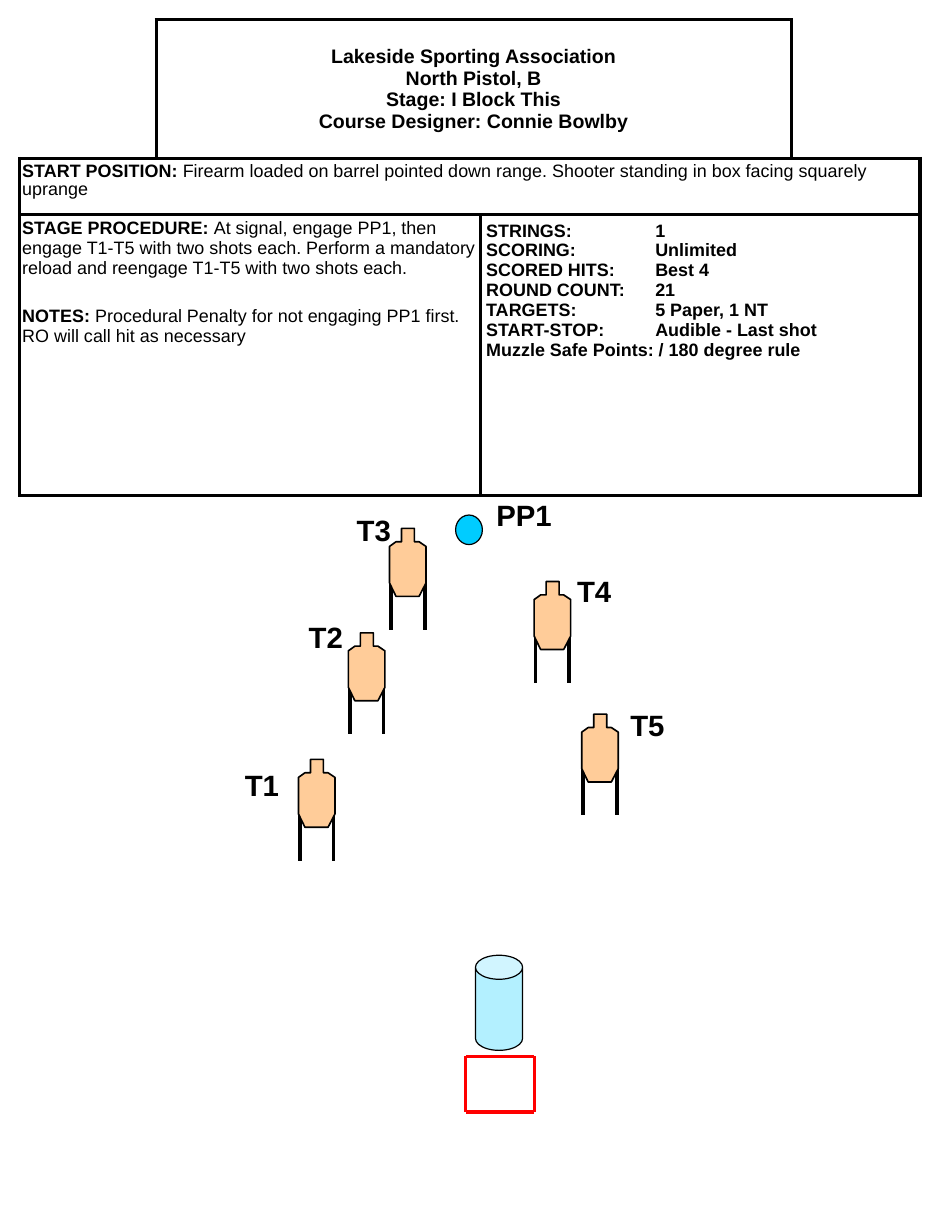
import pptx
import pptx.dml.color
import pptx.enum.shapes
import pptx.enum.text
import pptx.oxml
import pptx.oxml.ns
import pptx.util
from pptx.util import Cm

BLACK, WHITE, RED = "000000", "FFFFFF", "FF0000"
SIDES = {"left": "lnL", "right": "lnR", "top": "lnT", "bottom": "lnB"}
TARGET_OUTLINE = [
    (0.26, 0), (0.54, 0), (0.54, 0.29), (0.64, 0.29), (0.79, 0.39), (0.79, 1.18),
    (0.64, 1.47), (0.14, 1.47), (0, 1.18), (0, 0.39), (0.14, 0.29), (0.26, 0.29),
]
LEG_POSITIONS, LEG_TOP, LEG_BOTTOM = (0.03, 0.76), 1.08, 2.19

COLUMN_WIDTHS = (2.95, 7.01, 6.73, 2.79)
ROW_HEIGHTS = (3, 1.22, 6.07)
VALUE_TAB = 3.66

HEADER = [
    "Lakeside Sporting Association",
    "North Pistol, B",
    "Stage: I Block This",
    "Course Designer: Connie Bowlby",
]
START = ("START POSITION: ", "Firearm loaded on barrel pointed down range. "
         "Shooter standing in box facing squarely uprange")
PROCEDURE = ("STAGE PROCEDURE: ", "At signal, engage PP1, then engage T1-T5 with two shots "
             "each. Perform a mandatory reload and reengage T1-T5 with two shots each.")
NOTES = ("NOTES: ", "Procedural Penalty for not engaging PP1 first. "
         "RO will call hit as necessary")
SCORING = [
    "STRINGS:\t1",
    "SCORING:\tUnlimited",
    "SCORED HITS:\tBest 4",
    "ROUND COUNT:\t21",
    "TARGETS:\t5 Paper, 1 NT",
    "START-STOP:\tAudible - Last shot",
    "Muzzle Safe Points: / 180 degree rule",
]

LABELS = [
    ("T1", 5.05, 16.48, 1.47), ("PP1", 10.49, 10.64, 1.85), ("T2", 6.43, 13.28, 1.47),
    ("T3", 7.47, 10.97, 1.47), ("T4", 12.24, 12.29, 1.47), ("T5", 13.39, 15.19, 1.47),
]
TARGETS = [(8.43, 11.44), (11.56, 12.59), (7.54, 13.7), (12.59, 15.46), (6.46, 16.44)]


def rgb(color):
    return pptx.dml.color.RGBColor.from_string(color)


def apply(target, formats):
    for name, value in formats.items():
        setattr(target, name, value)


class StageSlide:
    def __init__(self, slide, font="Arial"):
        self.slide = slide
        self.shapes = slide.shapes
        self.font = font

    def add_text(self, paragraph, runs, size, tab=None, **formats):
        """Fill a paragraph with (text, bold) runs."""
        apply(paragraph, formats)
        if tab:
            tabs = pptx.oxml.parse_xml(
                f'<a:tabLst {pptx.oxml.ns.nsdecls("a")}><a:tab pos="{Cm(tab)}" algn="l"/></a:tabLst>')
            paragraph._p.get_or_add_pPr().append(tabs)
        for text, bold in runs:
            run = paragraph.add_run()
            run.text = text
            apply(run.font, {"name": self.font, "size": pptx.util.Pt(size), "bold": bold})
            run.font.color.rgb = rgb(BLACK)

    def label(self, text, left, top, width):
        box = self.shapes.add_textbox(Cm(left), Cm(top), Cm(width), Cm(1.02))
        apply(box.text_frame, {"word_wrap": True,
                               "auto_size": pptx.enum.text.MSO_AUTO_SIZE.SHAPE_TO_FIT_TEXT})
        self.add_text(box.text_frame.paragraphs[0], [(text, True)], 18)

    def paint(self, shape, fill, width, color=BLACK):
        shape.shadow.inherit = False
        shape.fill.solid()
        shape.fill.fore_color.rgb = rgb(fill)
        shape.line.color.rgb = rgb(color)
        shape.line.width = pptx.util.Pt(width)

    def line(self, shapes, start, end, color, width):
        connector = shapes.add_connector(
            pptx.enum.shapes.MSO_CONNECTOR.STRAIGHT, *map(Cm, (*start, *end)))
        connector.line.color.rgb = rgb(color)
        connector.line.width = pptx.util.Pt(width)
        connector._element.spPr.append(
            pptx.oxml.parse_xml(f'<a:effectLst {pptx.oxml.ns.nsdecls("a")}/>'))

    def shape(self, kind, left, top, width, height, fill):
        shape = self.shapes.add_shape(kind, Cm(left), Cm(top), Cm(width), Cm(height))
        self.paint(shape, fill, 0.75)
        return shape

    def shooting_box(self, left, top, right, bottom):
        group = self.shapes.add_group_shape()
        corners = [(left, top), (right, top), (right, bottom), (left, bottom)]
        for start, end in zip(corners, corners[1:] + corners[:1]):
            self.line(group.shapes, start, end, RED, 2)

    def target(self, left, top):
        """Draw a silhouette on two legs."""
        group = self.shapes.add_group_shape()
        for leg in LEG_POSITIONS:
            self.line(group.shapes, (left + leg, top + LEG_TOP),
                      (left + leg, top + LEG_BOTTOM), BLACK, 2.25)
        points = [(Cm(left + x), Cm(top + y)) for x, y in TARGET_OUTLINE]
        builder = group.shapes.build_freeform(*points[0])
        builder.add_line_segments(points[1:], close=True)
        self.paint(builder.convert_to_shape(), "FFCC99", 1)

    def table(self, left, top, widths, heights):
        table = self.shapes.add_table(
            len(heights), len(widths), Cm(left), Cm(top),
            Cm(sum(widths)), Cm(sum(heights))).table
        apply(table, {"first_row": False, "horz_banding": False})
        for column, width in zip(table.columns, widths):
            column.width = Cm(width)
        for row, height in zip(table.rows, heights):
            row.height = Cm(height)
        return table

    def cell(self, cell, sides=tuple(SIDES), horizontal=0.13, vertical=0.13):
        """Set the borders, fill and margins of a cell and return its text frame."""
        properties = cell._tc.get_or_add_tcPr()
        for side, tag in SIDES.items():
            if side in sides:
                properties.append(pptx.oxml.parse_xml(
                    f'<a:{tag} {pptx.oxml.ns.nsdecls("a")} w="{pptx.util.Pt(2.25)}">'
                    f'<a:solidFill><a:srgbClr val="{BLACK}"/></a:solidFill></a:{tag}>'))
        cell.fill.solid()
        cell.fill.fore_color.rgb = rgb(WHITE)
        apply(cell, {"margin_left": Cm(horizontal), "margin_right": Cm(horizontal),
                     "margin_top": Cm(vertical), "margin_bottom": Cm(vertical)})
        return cell.text_frame

    def add_lines(self, frame, texts, size, **formats):
        for index, text in enumerate(texts):
            paragraph = frame.add_paragraph() if index else frame.paragraphs[0]
            self.add_text(paragraph, [(text, True)], size, **formats)


def fill_stage_table(stage):
    table = stage.table(0.43, 0.43, COLUMN_WIDTHS, ROW_HEIGHTS)
    for row, first, last in ((0, 1, 2), (1, 0, 3), (2, 0, 1), (2, 2, 3)):
        table.cell(row, first).merge(table.cell(row, last))
        for column in range(first + 1, last + 1):
            stage.cell(table.cell(row, column))

    stage.cell(table.cell(0, 0), ("right", "bottom"))
    stage.cell(table.cell(0, 3), ("left", "bottom"))

    header = table.cell(0, 1)
    header.vertical_anchor = pptx.enum.text.MSO_ANCHOR.MIDDLE
    stage.add_lines(stage.cell(header), HEADER, 12, alignment=pptx.enum.text.PP_ALIGN.CENTER)

    start = stage.cell(table.cell(1, 0), horizontal=0.05, vertical=0.1)
    stage.add_text(start.paragraphs[0], zip(START, (True, False)), 11, line_spacing=0.9)

    procedure = stage.cell(table.cell(2, 0), horizontal=0.05, vertical=0.08)
    stage.add_text(procedure.paragraphs[0], zip(PROCEDURE, (True, False)), 11)
    stage.add_text(procedure.add_paragraph(), zip(NOTES, (True, False)), 11,
                   space_before=pptx.util.Pt(17))

    stage.add_lines(stage.cell(table.cell(2, 2)), SCORING, 11, tab=VALUE_TAB)


def main():
    presentation = pptx.Presentation()
    apply(presentation, {"slide_width": Cm(20.32), "slide_height": Cm(26.67)})
    stage = StageSlide(presentation.slides.add_slide(presentation.slide_layouts[6]))

    fill_stage_table(stage)
    for label in LABELS:
        stage.label(*label)
    stage.shooting_box(10.08, 22.87, 11.56, 24.07)
    for target in TARGETS:
        stage.target(*target)

    kinds = pptx.enum.shapes.MSO_SHAPE
    stage.shape(kinds.OVAL, 9.86, 11.15, 0.58, 0.64, "00CCFF")
    barrel = stage.shape(kinds.CAN, 10.29, 20.68, 1.02, 2.06, "69E2FF")
    barrel.adjustments[0] = 0.51
    color = barrel._element.spPr.find(".//" + pptx.oxml.ns.qn("a:srgbClr"))
    color.append(pptx.oxml.parse_xml(f'<a:alpha {pptx.oxml.ns.nsdecls("a")} val="50000"/>'))

    presentation.save("out.pptx")


if __name__ == "__main__":
    main()
